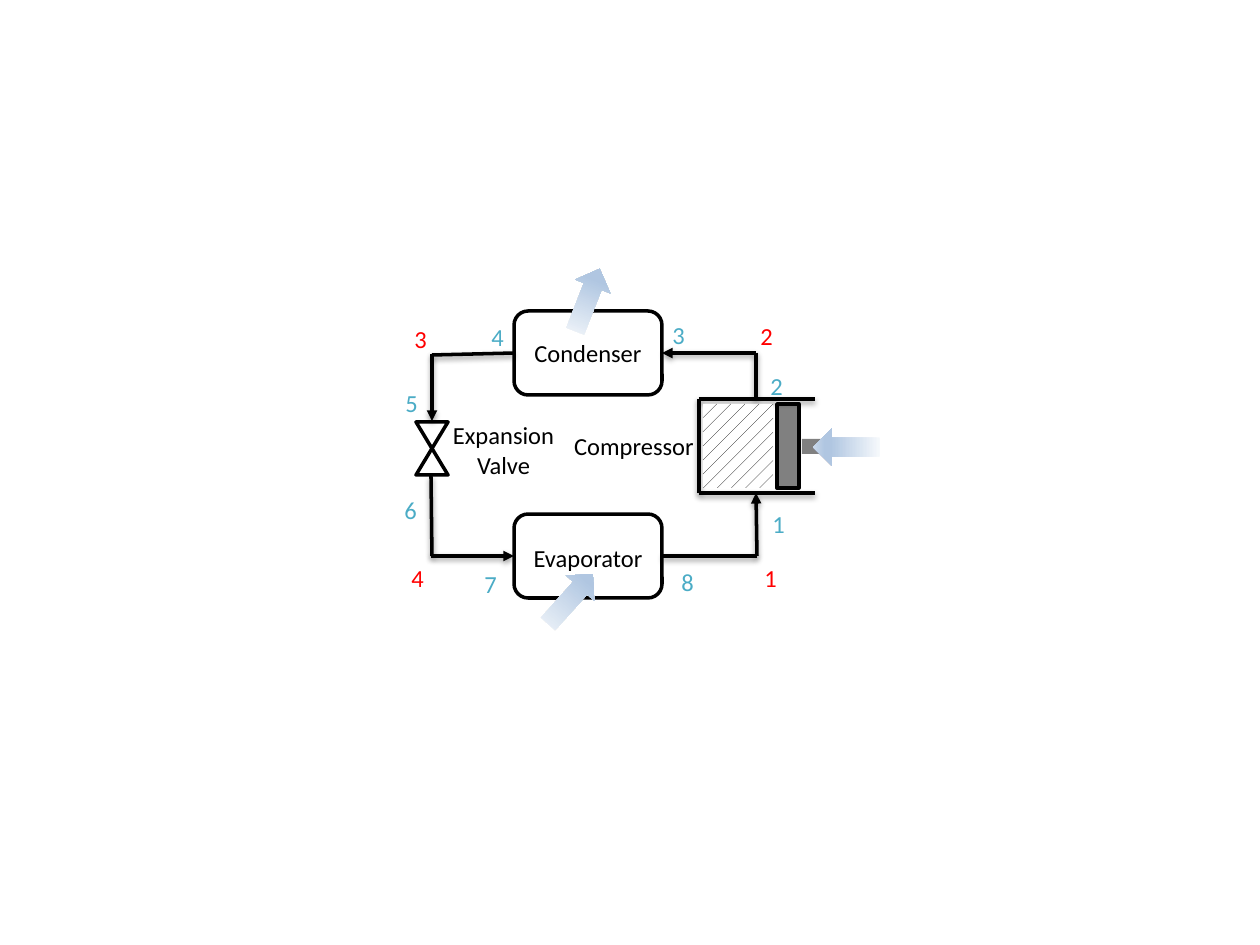
from dataclasses import dataclass

from lxml.etree import SubElement
from pptx import Presentation
from pptx.dml.color import RGBColor
from pptx.enum.dml import MSO_PATTERN
from pptx.enum.shapes import MSO_CONNECTOR, MSO_SHAPE
from pptx.enum.text import MSO_AUTO_SIZE, PP_ALIGN
from pptx.oxml import parse_xml
from pptx.oxml.ns import nsdecls, qn
from pptx.util import Emu, Pt


@dataclass(frozen=True)
class Theme:
    ink: str = "000000"
    paper: str = "FFFFFF"
    metal: str = "808080"
    state: str = "FF0000"
    station: str = "4BACC6"
    flow: tuple = ((0, "F6F9FC"), (74, "B0C6E1"), (83, "B0C6E1"), (100, "CAD9EB"))
    font: str = "Calibri"
    size: int = 14
    stroke: int = 2


def px(n):
    return Emu(round(n * 914400 / 126))


def rgb(value):
    return RGBColor.from_string(value)


def write(tf, text, *, font, size, color, align=PP_ALIGN.LEFT):
    p = tf.paragraphs[0]
    p.alignment = align
    r = p.add_run()
    r.text = text
    r.font.name = font
    r.font.size = Pt(size)
    r.font.color.rgb = rgb(color)


class Diagram:
    def __init__(self, slide, theme):
        self.s = slide
        self.theme = theme

    def stroke(self, line):
        line.color.rgb = rgb(self.theme.ink)
        line.width = Pt(self.theme.stroke)

    def shape(self, kind, x, y, w, h, fill=None, outlined=True):
        sp = self.s.shapes.add_shape(kind, px(x), px(y), px(w), px(h))
        sp.shadow.inherit = False
        if fill:
            sp.fill.solid()
            sp.fill.fore_color.rgb = rgb(fill)
        if outlined:
            self.stroke(sp.line)
        else:
            sp.line.fill.background()
        return sp

    def hatch(self, x, y, w, h):
        sp = self.shape(MSO_SHAPE.RECTANGLE, x, y, w, h, outlined=False)
        sp.fill.patterned()
        sp.fill.pattern = MSO_PATTERN.PERCENT_10
        sp.fill.fore_color.rgb = rgb(self.theme.ink)
        sp.fill.back_color.rgb = rgb(self.theme.paper)

    def flow_arrow(self, x, y, rotation):
        sp = self.shape(MSO_SHAPE.RIGHT_ARROW, x, y, 67, 38, outlined=False)
        sp.rotation = rotation
        sp.fill.gradient()
        grad = sp._element.spPr.find(qn("a:gradFill"))
        stops = "".join(
            f'<a:gs pos="{pos * 1000}"><a:srgbClr val="{color}"/></a:gs>'
            for pos, color in self.theme.flow
        )
        grad.getparent().replace(grad, parse_xml(
            f'<a:gradFill {nsdecls("a")} rotWithShape="1"><a:gsLst>{stops}</a:gsLst>'
            '<a:lin ang="0" scaled="0"/></a:gradFill>'
        ))

    def label(self, text, x, y, w, h=43, color=None, align=PP_ALIGN.CENTER):
        tb = self.s.shapes.add_textbox(px(x), px(y), px(w), px(h))
        tf = tb.text_frame
        tf.word_wrap = True
        tf.auto_size = MSO_AUTO_SIZE.SHAPE_TO_FIT_TEXT
        write(tf, text, font=self.theme.font, size=self.theme.size,
              color=color or self.theme.ink, align=align)

    def number(self, text, x, y, color):
        self.label(text, x, y, 32, color=color, align=PP_ALIGN.LEFT)

    def line(self, start, end, arrow=False, begin=None, finish=None):
        cxn = self.s.shapes.add_connector(
            MSO_CONNECTOR.STRAIGHT, *(px(n) for n in (*start, *end)))
        self.stroke(cxn.line)
        if begin:
            cxn.begin_connect(*begin)
        if finish:
            cxn.end_connect(*finish)
        spPr = cxn._element.spPr
        if arrow:
            SubElement(spPr.find(qn("a:ln")), qn("a:tailEnd"), type="triangle")
        spPr.append(parse_xml(
            f'<a:effectLst {nsdecls("a")}><a:outerShdw blurRad="40000" dist="20000" '
            f'dir="5400000" rotWithShape="0"><a:srgbClr val="{self.theme.ink}">'
            '<a:alpha val="38000"/></a:srgbClr></a:outerShdw></a:effectLst>'
        ))


def main():
    prs = Presentation()
    prs.slide_width, prs.slide_height = px(1260), px(945)
    theme = Theme()
    d = Diagram(prs.slides.add_slide(prs.slide_layouts[6]), theme)

    d.shape(MSO_SHAPE.FLOWCHART_COLLATE, 416, 422, 32, 53, theme.paper)
    exchangers = []
    for name, top, text_top in (("Condenser", 311, 332), ("Evaporator", 514, 537)):
        exchangers.append(
            d.shape(MSO_SHAPE.ROUNDED_RECTANGLE, 514, top, 148, 84, theme.paper))
        d.label(name, 514, text_top, 148)
    condenser, evaporator = exchangers

    d.shape(MSO_SHAPE.RECTANGLE, 777, 404, 22, 84, theme.metal)
    d.shape(MSO_SHAPE.RECTANGLE, 802, 439, 59, 15, theme.metal, outlined=False)
    for y in (399, 493):
        d.line((699, y), (815, y))
    d.line((699, 493), (699, 399))
    d.hatch(703, 404, 70, 84)
    d.label("Compressor", 560, 425, 148)
    d.label("Expansion Valve", 438, 414, 131, 72)

    d.line((757, 556), (756, 493), arrow=True)
    d.line((431, 556), (514, 556), arrow=True, finish=(evaporator, 1))
    d.line((432, 354), (432, 421), arrow=True)
    d.line((756, 353), (756, 399))
    d.line((756, 353), (662, 353), arrow=True, finish=(condenser, 3))
    d.line((514, 353), (432, 355), begin=(condenser, 1))
    d.line((757, 556), (662, 556), finish=(evaporator, 3))
    d.line((431, 476), (432, 556))

    for x, y, rotation in ((813, 428, 180), (554, 281, 291.4), (537, 580, 311.9)):
        d.flow_arrow(x, y, rotation)

    states = ((752, 557), (748, 315), (402, 318), (399, 557))
    stations = ((760, 503), (758, 365), (660, 314), (479, 316),
                (393, 382), (392, 489), (472, 563), (669, 561))
    for color, places in ((theme.state, states), (theme.station, stations)):
        for n, (x, y) in enumerate(places, 1):
            d.number(str(n), x, y, color)

    prs.save("out.pptx")


if __name__ == "__main__":
    main()
